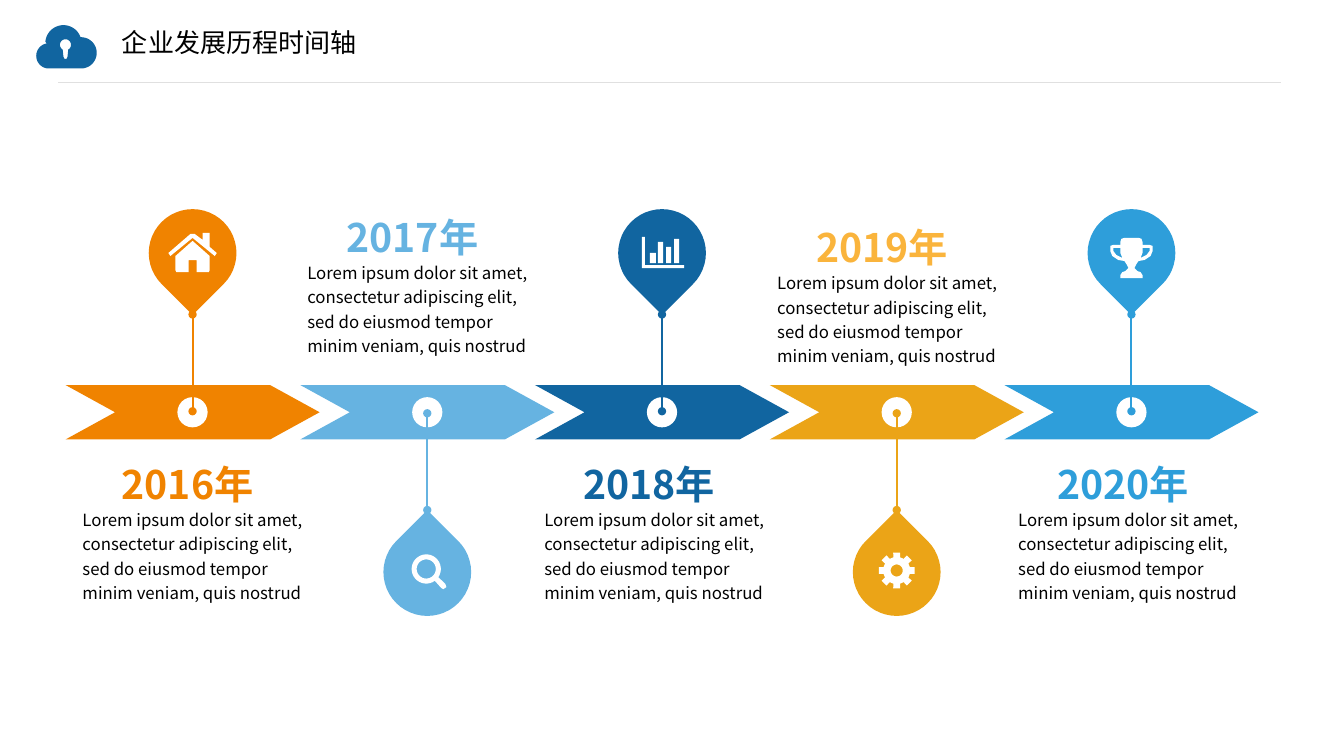
from math import cos, radians, sin

from lxml.etree import SubElement
from pptx import Presentation
from pptx.dml.color import RGBColor
from pptx.enum.shapes import MSO_CONNECTOR, MSO_SHAPE
from pptx.enum.text import MSO_ANCHOR, MSO_AUTO_SIZE, PP_ALIGN
from pptx.oxml.ns import qn
from pptx.util import Inches, Pt

BLACK = RGBColor(0x00, 0x00, 0x00)
WHITE = RGBColor(0xFF, 0xFF, 0xFF)
GREY = RGBColor(0xE0, 0xE0, 0xE0)
ORANGE = RGBColor(0xF0, 0x83, 0x00)
SKY = RGBColor(0x66, 0xB3, 0xE1)
NAVY = RGBColor(0x11, 0x65, 0xA0)
GOLD = RGBColor(0xEB, 0xA4, 0x17)
AMBER = RGBColor(0xFA, 0xB4, 0x3C)
BLUE = RGBColor(0x2E, 0x9E, 0xDA)

FONT = "Noto Sans CJK SC"
SUMMARY = ("Lorem ipsum dolor sit amet, consectetur adipiscing elit, "
           "sed do eiusmod tempor minim veniam, quis nostrud")


# Icon outlines: closed contours around the icon centre, in tenths of a grid cell
def arc(x, y, radius, start=0, end=360):
    angles = [radians(start + (end - start) * step / 32) for step in range(33)]
    return [(x + radius * cos(angle), y + radius * sin(angle)) for angle in angles]


def mirrored(points):
    return [(-x, y) for x, y in reversed(points)]


def bar(left, right, top, bottom=10):
    return [(left, top), (right, top), (right, bottom), (left, bottom)]


def gear_teeth():
    corners = [(-14, 13.5), (-11, 18), (11, 18), (14, 13.5)]
    return [(radius * cos(radians(tooth + turn)), radius * sin(radians(tooth + turn)) - 1.5)
            for tooth in range(0, 360, 45) for turn, radius in corners]


CUP = [(7, -15), (10, -14), (11, -11), (11, -8), (18, -8), (21, -7), (21, -2), (19, 3),
       (13, 7), (7, 8), (5, 11), (3, 15), (6, 18), (9, 19), (11, 22), (11, 25)]
HANDLE = [(11, -5), (18, -5), (18, -2), (15, 2), (9, 5), (11, 0)]

CLOUD = [arc(-16.5, 9, 12.5, 90, 260) + arc(-2, -3.5, 18, 185, 340) + arc(15.5, 6, 15.5, 275, 450),
         arc(0, -2, 5.5, 120, 420) + [(2, 10), (1, 12), (-1, 12), (-2, 10)]]
HOUSE = [[(22, 3), (0, -15), (-22, 3), (-24, 0), (-2, -19), (2, -19), (10, -13),
          (10, -20), (17, -20), (17, -6), (24, 0)],
         [(17, 17), (16, 19), (4, 19), (4, 7), (-4, 7), (-4, 19), (-16, 19),
          (-17, 17), (-17, 3), (0, -12), (17, 3)]]
LENS = [arc(-1, -3, 14.5, 54, 394) + [(18, 12), (19, 15), (16, 17), (14, 16)],
        arc(-1, -3, 9.5)]
BARS = [[(22, 15), (-20, 15), (-20, -16), (-17, -16), (-17, 12), (22, 12)],
        bar(-12, -6, 0), bar(-4, 1, -11), bar(4, 9, -6), bar(12, 17, -14)]
GEAR = [gear_teeth(), arc(0, -1.5, 6)]
TROPHY = [CUP + mirrored(CUP), HANDLE, mirrored(HANDLE)]

# Year, colour, heading colour, icon, text left, text top, pin above the band
MILESTONES = [
    ("2016年", ORANGE, ORANGE, HOUSE, 7.2, 45.2, True),
    ("2017年", SKY, SKY, LENS, 29.5, 20.7, False),
    ("2018年", NAVY, NAVY, BARS, 53, 45.2, True),
    ("2019年", GOLD, AMBER, GEAR, 76.1, 21.7, False),
    ("2020年", BLUE, BLUE, TROPHY, 100, 45.2, True),
]


def write(box, text, size=12, color=BLACK, bold=None, align=PP_ALIGN.LEFT, spacing=None):
    para = box.text_frame.paragraphs[0]
    para.alignment = align
    para.line_spacing = spacing
    span = para.add_run()
    span.text = text
    span.font.size = Pt(size)
    span.font.bold = bold
    span.font.color.rgb = color
    span.font.name = FONT
    SubElement(span._r.get_or_add_rPr(), qn("a:ea"), typeface=FONT)


class Canvas:
    """Draws on one page; lengths are columns and rows of a square grid."""

    def __init__(self, page, cell=Inches(0.1)):
        self.page = page
        self.cell = cell

    def grid(self, *lengths):
        return [round(length * self.cell) for length in lengths]

    def paint(self, shape, color):
        shape.shadow.inherit = False
        shape.fill.solid()
        shape.fill.fore_color.rgb = color
        shape.line.fill.background()
        return shape

    def title(self, text, left, top, width, height):
        box = self.page.shapes.title
        box.left, box.top, box.width, box.height = self.grid(left, top, width, height)
        frame = box.text_frame
        frame.margin_left = frame.margin_right = frame.margin_top = frame.margin_bottom = 0
        frame.vertical_anchor = MSO_ANCHOR.MIDDLE
        frame.auto_size = MSO_AUTO_SIZE.NONE
        write(box, text, size=18.6)

    def text(self, text, left, top, width, height, wrap=True, **style):
        box = self.page.shapes.add_textbox(*self.grid(left, top, width, height))
        box.text_frame.word_wrap = wrap
        write(box, text, **style)

    def shape(self, kind, left, top, width, height, color, rotation=0):
        shape = self.page.shapes.add_shape(kind, *self.grid(left, top, width, height))
        shape.rotation = rotation
        return self.paint(shape, color)

    def line(self, start, end, color, width, dots=False):
        line = self.page.shapes.add_connector(
            MSO_CONNECTOR.STRAIGHT, *self.grid(*start, *end))
        line.line.color.rgb = color
        line.line.width = Pt(width)
        SubElement(line._element.spPr, qn("a:effectLst"))
        if dots:
            for tag in ("a:headEnd", "a:tailEnd"):
                SubElement(line.line._get_or_add_ln(), qn(tag), type="oval")

    def icon(self, contours, x, y, color):
        fine = 100
        builder = None
        for contour in contours:
            points = [(px * fine, py * fine) for px, py in contour]
            if builder is None:
                builder = self.page.shapes.build_freeform(
                    *points[0], scale=self.cell / 10 / fine)
            else:
                builder.move_to(*points[0])
            builder.add_line_segments(points[1:], close=True)
        self.paint(builder.convert_to_shape(*self.grid(x, y)), color)

    def milestone(self, center, color, icon, above):
        # Arrow segment with its white hub
        arrow = self.shape(MSO_SHAPE.NOTCHED_RIGHT_ARROW, center - 12.6, 38.2, 25.2, 5.4, color)
        arrow.adjustments[0], arrow.adjustments[1] = 1, 0.91
        self.shape(MSO_SHAPE.OVAL, center - 1.5, 39.4, 3, 3, WHITE)
        # Stem and pin, on either side of the band
        tip, hub, middle, turn = (31.2, 40.8, 25.1, 135) if above else (50.6, 41, 56.75, 315)
        self.line((center, tip), (center, hub), color, 1.5, dots=True)
        self.shape(MSO_SHAPE.TEAR, center - 4.35, middle - 4.35, 8.7, 8.7, color, turn)
        self.icon(icon, center, middle, WHITE)


def main():
    deck = Presentation()
    deck.slide_width, deck.slide_height = Inches(13.33), Inches(7.5)
    canvas = Canvas(deck.slides.add_slide(deck.slide_layouts[5]))

    # Header
    canvas.line((5.8, 8.2), (127.1, 8.2), GREY, 0.75)
    canvas.icon(CLOUD, 6.5, 4.65, NAVY)
    canvas.title("企业发展历程时间轴", 12.1, 1.6, 88.9, 5.2)

    # Timeline
    for index, (year, color, heading, icon, left, top, above) in enumerate(MILESTONES):
        canvas.milestone(19.1 + 23.28 * index, color, icon, above)
        canvas.text(SUMMARY, left, top + 4.5, 24.4, 6.1, spacing=1.2)
        canvas.text(year, left, top, 22.8, 4.5, wrap=False, size=28, color=heading,
                    bold=True, align=PP_ALIGN.CENTER)

    deck.save("out.pptx")


if __name__ == "__main__":
    main()
